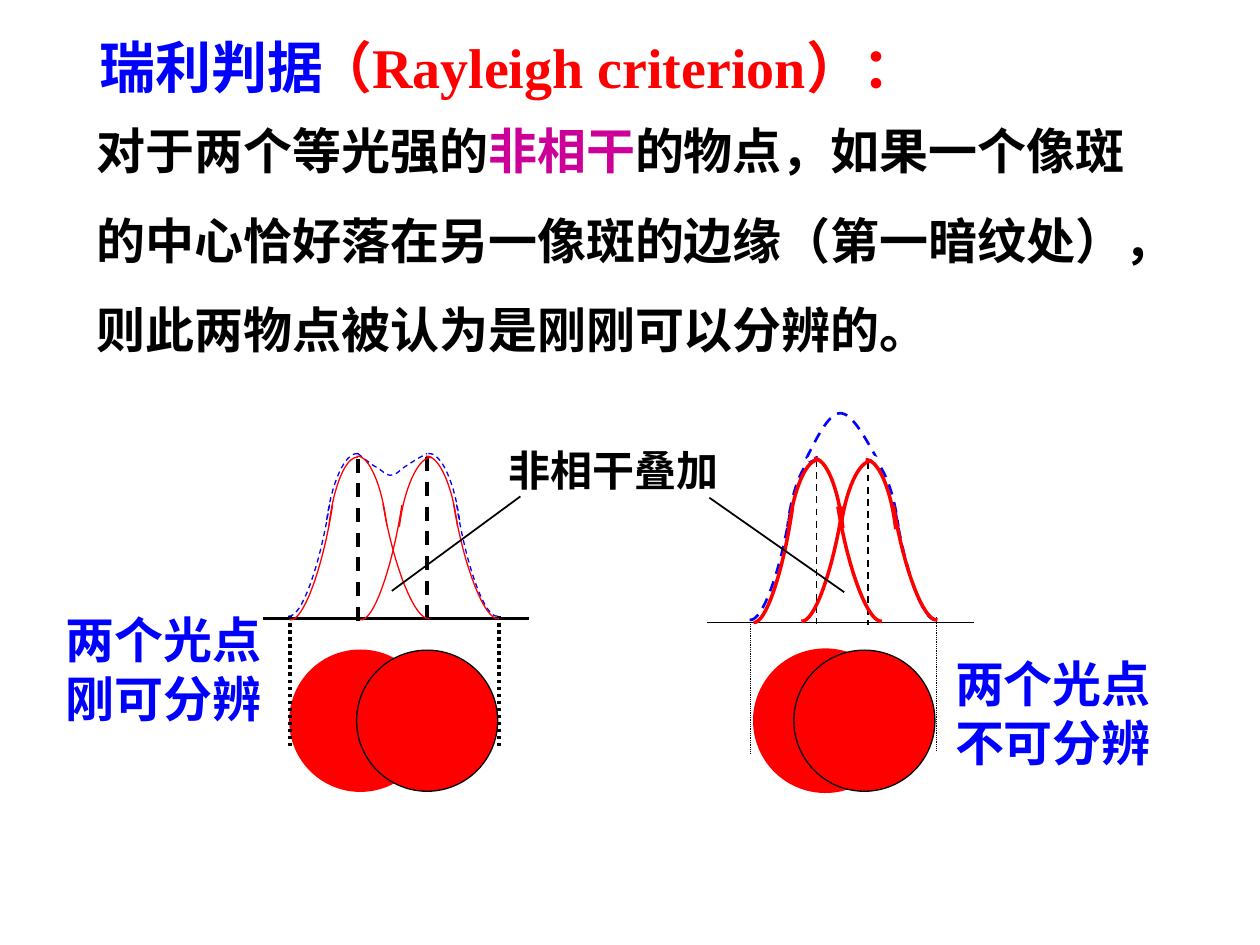
"""Build a slide on the Rayleigh criterion with two intensity diagrams."""
from lxml.etree import SubElement
from pptx import Presentation
from pptx.dml.color import RGBColor
from pptx.enum.dml import MSO_LINE
from pptx.enum.shapes import MSO_CONNECTOR, MSO_SHAPE
from pptx.enum.text import PP_ALIGN
from pptx.oxml.ns import qn
from pptx.util import Inches, Pt

color = RGBColor.from_string
BLACK, WHITE, RED, BLUE, PURPLE = "000000", "FFFFFF", "FF0000", "0000FF", "CC0099"
DASH, DOT = MSO_LINE.DASH, MSO_LINE.ROUND_DOT

deck = Presentation()
deck.slide_width, deck.slide_height = Inches(10), Inches(7.5)
column, row = deck.slide_width / 10, deck.slide_height / 7.5
page = deck.slides.add_slide(deck.slide_layouts[6])


def write(lines, left, top, width, height, size=28, hue=BLACK, inset=(0.1, 0.05), align=PP_ALIGN.LEFT):
    """Add a bold text box; each line is a list of (text, colour or None) spans."""
    box = page.shapes.add_textbox(int(left * column), int(top * row), int(width * column), int(height * row))
    frame = box.text_frame
    frame.word_wrap = True
    frame.margin_left = frame.margin_right = Inches(inset[0])
    frame.margin_top = frame.margin_bottom = Inches(inset[1])
    for index, spans in enumerate(lines):
        para = frame.add_paragraph() if index else frame.paragraphs[0]
        para.alignment = align
        for text, span_hue in spans:
            span = para.add_run()
            span.text = text
            span.font.name, span.font.size, span.font.bold = "Times New Roman", Pt(size), True
            span.font.color.rgb = color(span_hue or hue)


def stroke(points, hue=BLACK, weight=0, dash=None, steps=16):
    """Draw a straight line through two points, or a chain of cubic curves through more."""
    if len(points) == 2:
        (x1, y1), (x2, y2) = points
        mark = page.shapes.add_connector(
            MSO_CONNECTOR.STRAIGHT, int(x1 * column), int(y1 * row), int(x2 * column), int(y2 * row))
    else:
        trail = [points[0]]
        for first in range(0, len(points) - 1, 3):
            for step in range(1, steps + 1):
                t = step / steps
                shares = ((1 - t) ** 3, 3 * t * (1 - t) ** 2, 3 * t * t * (1 - t), t ** 3)
                corners = points[first:first + 4]
                trail.append([sum(s * c[axis] for s, c in zip(shares, corners)) for axis in (0, 1)])
        trail = [(round(x * column), round(y * row)) for x, y in trail]
        builder = page.shapes.build_freeform(*trail[0])
        builder.add_line_segments(trail[1:], close=False)
        mark = builder.convert_to_shape()
        mark.fill.background()
    mark.line.color.rgb = color(hue)
    mark.line.width = Pt(weight)
    if dash:
        mark.line.dash_style = dash
    SubElement(mark._element.spPr, qn("a:effectLst"))


for left, edge, weight in [(2.3, RED, 0), (2.83, BLACK, 0), (5.99, RED, 2), (6.3, BLACK, 0)]:
    spot = page.shapes.add_shape(
        MSO_SHAPE.OVAL, int(left * column), int(5.16 * row), int(1.12 * column), int(1.12 * row))
    spot.shadow.inherit = False
    spot.fill.solid()
    spot.fill.fore_color.rgb = color(RED)
    spot.line.color.rgb = color(edge)
    spot.line.width = Pt(weight)

for x, top, bottom, weight, dash in [
    (2.3, 4.89, 5.95, 0, DOT), (3.96, 4.89, 5.95, 0, DOT),
    (2.84, 3.64, 4.93, 0, DASH), (3.39, 3.63, 4.91, 0, DASH),
    (5.96, 4.91, 5.98, 0.5, DOT), (7.43, 4.9, 5.96, 0.5, DOT),
    (6.48, 3.65, 4.95, 1, DASH), (6.89, 3.67, 4.96, 1, DASH),
]:
    stroke([(x, top), (x, bottom)], weight=weight, dash=dash)
stroke([(2.09, 4.91), (4.2, 4.91)])
stroke([(5.61, 4.94), (7.73, 4.94)], weight=1)

stroke([(2.84, 3.6), (2.89, 3.64), (2.95, 3.69), (2.99, 3.71), (3.04, 3.74), (3.07, 3.78), (3.11, 3.77),
        (3.15, 3.77), (3.19, 3.71), (3.24, 3.69), (3.28, 3.66), (3.33, 3.63), (3.39, 3.6)], BLUE, 0, DASH)
stroke([(6.4, 3.64), (6.49, 3.46), (6.58, 3.28), (6.67, 3.28),
        (6.76, 3.28), (6.86, 3.46), (6.96, 3.64)], BLUE, 1.5, DASH)

foot_curve = [(0, 0), (0.3, 0.02), (0.76, -0.39), (1, -0.91)]
peak_curve = [(0, 0), (0.42, -0.01), (0.85, 0.24), (1, 0.55)]
flank_groups = [
    (BLUE, 0, DASH, [(2.29, 4.89, 0.33, 2.84, 3.6, -0.25), (3.95, 4.89, -0.33, 3.4, 3.6, 0.25)]),
    (RED, 0, None, [(2.3, 4.92, 0.34, 2.84, 3.63, -0.23), (3.41, 4.91, -0.37, 2.83, 3.62, 0.24),
                    (2.86, 4.92, 0.33, 3.43, 3.63, -0.26), (3.96, 4.91, -0.36, 3.38, 3.62, 0.25)]),
    (BLUE, 1.5, DASH, [(5.95, 4.92, 0.33, 6.49, 3.63, -0.24), (7.43, 4.92, -0.33, 6.88, 3.63, 0.25)]),
    (WHITE, 2, None, [(6.41, 3.65, 6.47, 3.62)]),
    (WHITE, 4.5, None, [(6.88, 3.63, 6.96, 3.66)]),
    (RED, 2, None, [(5.98, 4.94, 0.31, 6.5, 3.65, -0.24), (7, 4.93, -0.35, 6.46, 3.64, 0.23),
                    (6.36, 4.93, 0.33, 6.92, 3.66, -0.25), (7.44, 4.92, -0.35, 6.87, 3.65, 0.24)]),
]
for hue, weight, dash, flanks in flank_groups:
    for flank in flanks:
        if len(flank) == 4:
            stroke([flank[:2], flank[2:]], hue, weight)
            continue
        for (x, y, reach), curve in [(flank[:3], foot_curve), (flank[3:], peak_curve)]:
            stroke([(x + reach * across, y + down) for across, down in curve], hue, weight, dash)

write([[("瑞利判据", None)]], 0.69, 0.21, 2.2, 0.64, size=32, hue=BLUE)
write([[("（Rayleigh criterion）：", None)]], 2.41, 0.21, 5.45, 0.64, size=32, hue=RED)
statement = [
    [("对于两个等光强的", None), ("非相干", PURPLE), ("的物点，如果一个像斑", None)],
    [("的中心恰好落在另一像斑的边缘（第一暗纹处），", None)],
    [("则此两物点被认为是刚刚可以分辨的。", None)],
]
for index, spans in enumerate(statement):
    write([spans], 0.67, 0.91 + 0.71 * index, 8.91, 0.57)

for verdict, left, top, width in [("刚可分辨", 0.51, 4.83, 2.13), ("不可分辨", 7.57, 5.18, 1.94)]:
    write([[("两个光点", None)], [(verdict, None)]], left, top, width, 1,
          hue=BLUE, inset=(0.01, 0.01), align=PP_ALIGN.JUSTIFY)

write([[("非相干叠加", None)]], 3.94, 3.48, 1.9, 0.55, size=24)
stroke([(3.11, 4.69), (4.13, 3.94)], weight=1)
stroke([(6.7, 4.7), (5.63, 3.95)], weight=1)

deck.save("out.pptx")
